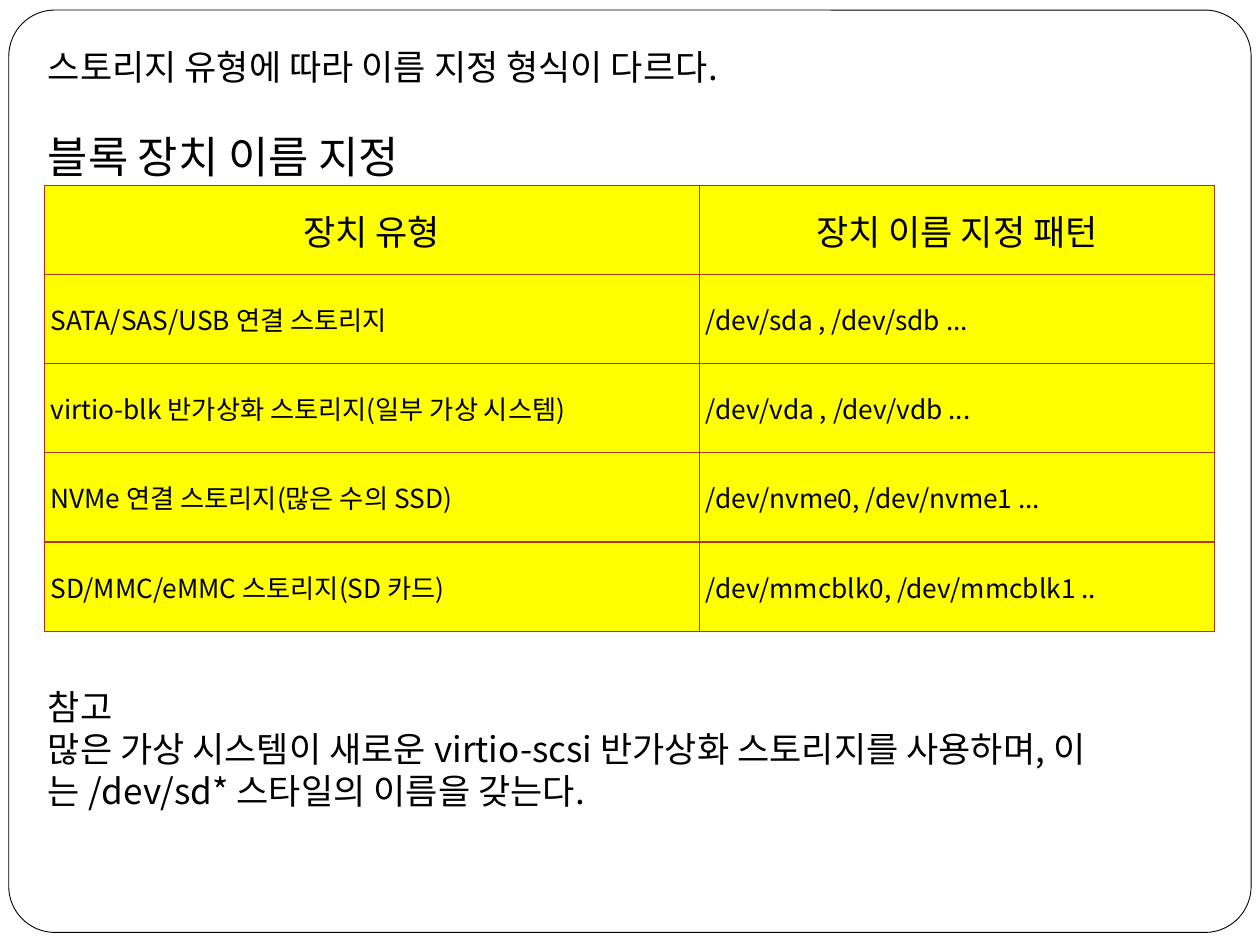
from lxml import etree
from pptx import Presentation
from pptx.dml.color import RGBColor
from pptx.enum.shapes import MSO_SHAPE
from pptx.enum.text import MSO_ANCHOR, MSO_AUTO_SIZE, PP_ALIGN
from pptx.oxml.ns import qn
from pptx.util import Inches, Pt

FONT = "Noto Sans CJK KR"
BLACK = RGBColor(0x00, 0x00, 0x00)
WHITE = RGBColor(0xFF, 0xFF, 0xFF)
YELLOW = RGBColor(0xFF, 0xFF, 0x00)
BORDER = RGBColor(0xB1, 0x36, 0x0B)
LINE = 24  # line pitch of the body text, points

# text, size, space before
BODY = [
    ("스토리지 유형에 따라 이름 지정 형식이 다르다.", 20, 0),
    ("블록 장치 이름 지정", 25, LINE),
    ("참고", 20, 12 * LINE),  # leaves room for the table
    ("많은 가상 시스템이 새로운 virtio-scsi 반가상화 스토리지를 사용하며, "
     "이는 /dev/sd* 스타일의 이름을 갖는다.", 20, 0),
]
DEVICES = [
    ("장치 유형", "장치 이름 지정 패턴"),
    ("SATA/SAS/USB 연결 스토리지", "/dev/sda , /dev/sdb ..."),
    ("virtio-blk 반가상화 스토리지(일부 가상 시스템)", "/dev/vda , /dev/vdb ..."),
    ("NVMe 연결 스토리지(많은 수의 SSD)", "/dev/nvme0, /dev/nvme1 ..."),
    ("SD/MMC/eMMC 스토리지(SD 카드)", "/dev/mmcblk0, /dev/mmcblk1 .."),
]


def write(p, text, size=20, align=PP_ALIGN.LEFT, before=0, spacing=None):
    """Put one formatted run into a paragraph."""
    p.alignment = align
    p.space_before, p.space_after = Pt(before), Pt(0)
    if spacing:
        p.line_spacing = spacing
    r = p.add_run()
    r.text = text
    r.font.size, r.font.name, r.font.color.rgb = Pt(size), FONT, BLACK
    etree.SubElement(r.font._element, qn("a:ea"), typeface=FONT)


def set_margins(target, left, top, right, bottom):
    target.margin_left, target.margin_top = Inches(left), Inches(top)
    target.margin_right, target.margin_bottom = Inches(right), Inches(bottom)


def add_frame(slide, box):
    """Rounded page frame, sent behind everything else."""
    sp = slide.shapes.add_shape(MSO_SHAPE.ROUNDED_RECTANGLE, *map(Inches, box))
    sp.adjustments[0] = 0.05
    sp.shadow.inherit = False
    sp.fill.solid()
    sp.fill.fore_color.rgb = WHITE
    sp.line.color.rgb = BLACK
    sp.line.width = Pt(0.5)
    slide.shapes._spTree.insert(2, sp._element)


def fill_body(sp, box):
    """Body text without bullets, spaced around the table."""
    sp.left, sp.top, sp.width, sp.height = map(Inches, box)
    tf = sp.text_frame
    tf.word_wrap = True
    tf.auto_size = MSO_AUTO_SIZE.NONE
    tf.vertical_anchor = MSO_ANCHOR.TOP
    set_margins(tf, 0.1, 0.07, 0.6, 0.05)
    for i, (text, size, before) in enumerate(BODY):
        p = tf.add_paragraph() if i else tf.paragraphs[0]
        write(p, text, size=size, before=before, spacing=Pt(size * 1.2))
        pPr = p._p.get_or_add_pPr()
        pPr.set("marL", "0")
        pPr.set("indent", "0")
        etree.SubElement(pPr, qn("a:buNone"))


def set_borders(cell, color, width):
    tcPr = cell._tc.get_or_add_tcPr()
    for i, side in enumerate(("lnL", "lnR", "lnT", "lnB")):
        ln = etree.Element(qn(f"a:{side}"), w=str(Pt(width)))
        fill = etree.SubElement(ln, qn("a:solidFill"))
        etree.SubElement(fill, qn("a:srgbClr"), val=str(color))
        tcPr.insert(i, ln)


def add_device_table(slide, box, first_share):
    """Device types and name patterns, in equal rows."""
    left, top, width, height = map(Inches, box)
    table = slide.shapes.add_table(len(DEVICES), 2, left, top, width, height).table
    table.columns[0].width = int(width * first_share)
    table.columns[1].width = width - table.columns[0].width
    for y, row in enumerate(DEVICES):
        for x, text in enumerate(row):
            cell = table.cell(y, x)
            cell.fill.solid()
            cell.fill.fore_color.rgb = YELLOW
            cell.vertical_anchor = MSO_ANCHOR.MIDDLE
            set_margins(cell, 0.05, 0.05, 0.05, 0.05)
            set_borders(cell, BORDER, 0.75)
            write(cell.text_frame.paragraphs[0], text, size=15 if y else 20,
                  align=PP_ALIGN.LEFT if y else PP_ALIGN.CENTER)


def main():
    prs = Presentation()
    prs.slide_width, prs.slide_height = Inches(10), Inches(7.5)
    slide = prs.slides.add_slide(prs.slide_layouts[1])
    title = slide.shapes.title._element
    title.getparent().remove(title)

    add_frame(slide, (0.07, 0.08, 9.86, 7.32))
    fill_body(slide.placeholders[1], (0.28, 0.29, 9.45, 6.93))
    add_device_table(slide, (0.35, 1.47, 9.29, 3.54), 0.56)
    prs.save("out.pptx")


if __name__ == "__main__":
    main()
